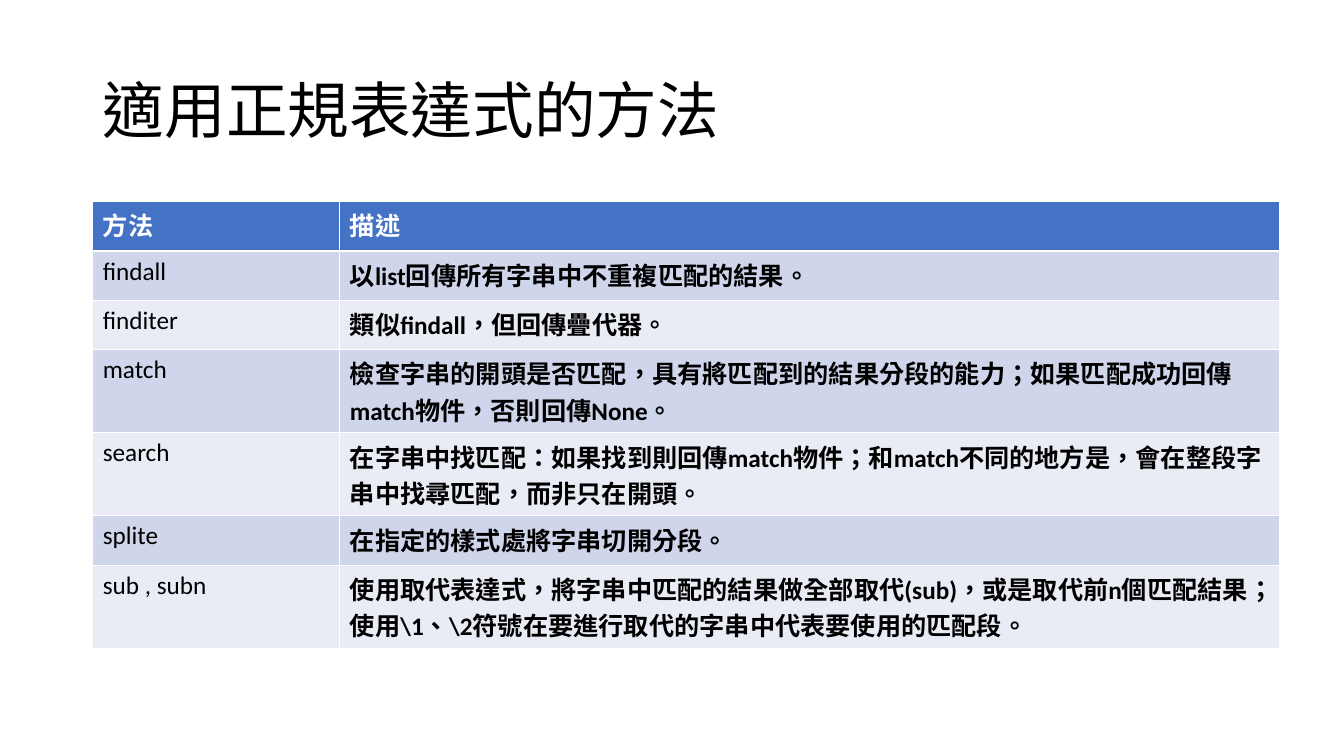
from dataclasses import dataclass

from pptx import Presentation
from pptx.dml.color import RGBColor
from pptx.enum.lang import MSO_LANGUAGE_ID
from pptx.enum.text import MSO_ANCHOR, MSO_AUTO_SIZE, PP_ALIGN
from pptx.util import Inches, Pt


@dataclass(frozen=True)
class Theme:
    """Colours, font and type sizes of the slide."""

    font: str = "Calibri"
    title_size: int = 44
    table_size: int = 18
    ink: str = "000000"
    header_ink: str = "FFFFFF"
    header_fill: str = "4472C4"
    band_fills: tuple = ("CFD5EA", "E9EBF5")


THEME = Theme()
TITLE = "適用正規表達式的方法"
HEADER = ("方法", "描述")
METHODS = [
    ("findall", "以list回傳所有字串中不重複匹配的結果。"),
    ("finditer", "類似findall，但回傳疊代器。"),
    ("match", "檢查字串的開頭是否匹配，具有將匹配到的結果分段的能力；"
              "如果匹配成功回傳match物件，否則回傳None。"),
    ("search", "在字串中找匹配：如果找到則回傳match物件；"
               "和match不同的地方是，會在整段字串中找尋匹配，而非只在開頭。"),
    ("splite", "在指定的樣式處將字串切開分段。"),
    ("sub , subn", "使用取代表達式，將字串中匹配的結果做全部取代(sub)，"
                   "或是取代前n個匹配結果；使用\\1、\\2符號在要進行取代的字串中代表要使用的匹配段。"),
]
COLUMN_WIDTHS = (2.45, 9.32)
ROW_HEIGHT = 0.49


def write_text(text_frame, text, size, color, bold):
    """Set the text of a frame and format its runs."""
    text_frame.text = text
    for run in text_frame.paragraphs[0].runs:
        run.font.name = THEME.font
        run.font.size = Pt(size)
        run.font.bold = bold
        run.font.color.rgb = RGBColor.from_string(color)
        run.font.language_id = MSO_LANGUAGE_ID.TRADITIONAL_CHINESE


def place_title(slide):
    """Place and format the slide title."""
    title = slide.shapes.title
    title.left, title.top = Inches(0.92), Inches(0.4)
    title.width, title.height = Inches(11.5), Inches(1.45)
    heading = title.text_frame
    write_text(heading, TITLE, THEME.title_size, THEME.ink, False)
    heading.auto_size = MSO_AUTO_SIZE.NONE
    heading.vertical_anchor = MSO_ANCHOR.MIDDLE
    heading.paragraphs[0].alignment = PP_ALIGN.LEFT
    heading.paragraphs[0].line_spacing = 0.9


def fill_cell(cell, text, fill, color, bold):
    """Write one table cell on its background colour."""
    write_text(cell.text_frame, text, THEME.table_size, color, bold)
    cell.fill.solid()
    cell.fill.fore_color.rgb = RGBColor.from_string(fill)


def add_method_table(slide):
    """Add the table of methods with a header and alternating bands."""
    rows = [HEADER, *METHODS]
    table = slide.shapes.add_table(
        len(rows), len(HEADER), Inches(0.92), Inches(2),
        Inches(sum(COLUMN_WIDTHS)), Inches(ROW_HEIGHT * len(rows)),
    ).table
    for column, width in zip(table.columns, COLUMN_WIDTHS):
        column.width = Inches(width)
    for column, heading in enumerate(HEADER):
        fill_cell(table.cell(0, column), heading,
                  THEME.header_fill, THEME.header_ink, True)
    for row, (method, description) in enumerate(METHODS, start=1):
        band = THEME.band_fills[(row - 1) % len(THEME.band_fills)]
        fill_cell(table.cell(row, 0), method, band, THEME.ink, False)
        fill_cell(table.cell(row, 1), description, band, THEME.ink, True)


def main():
    """Build and save the slide."""
    presentation = Presentation()
    presentation.slide_width = Inches(13.33)
    presentation.slide_height = Inches(7.5)
    slide = presentation.slides.add_slide(presentation.slide_layouts[5])
    place_title(slide)
    add_method_table(slide)
    presentation.save("out.pptx")


if __name__ == "__main__":
    main()
